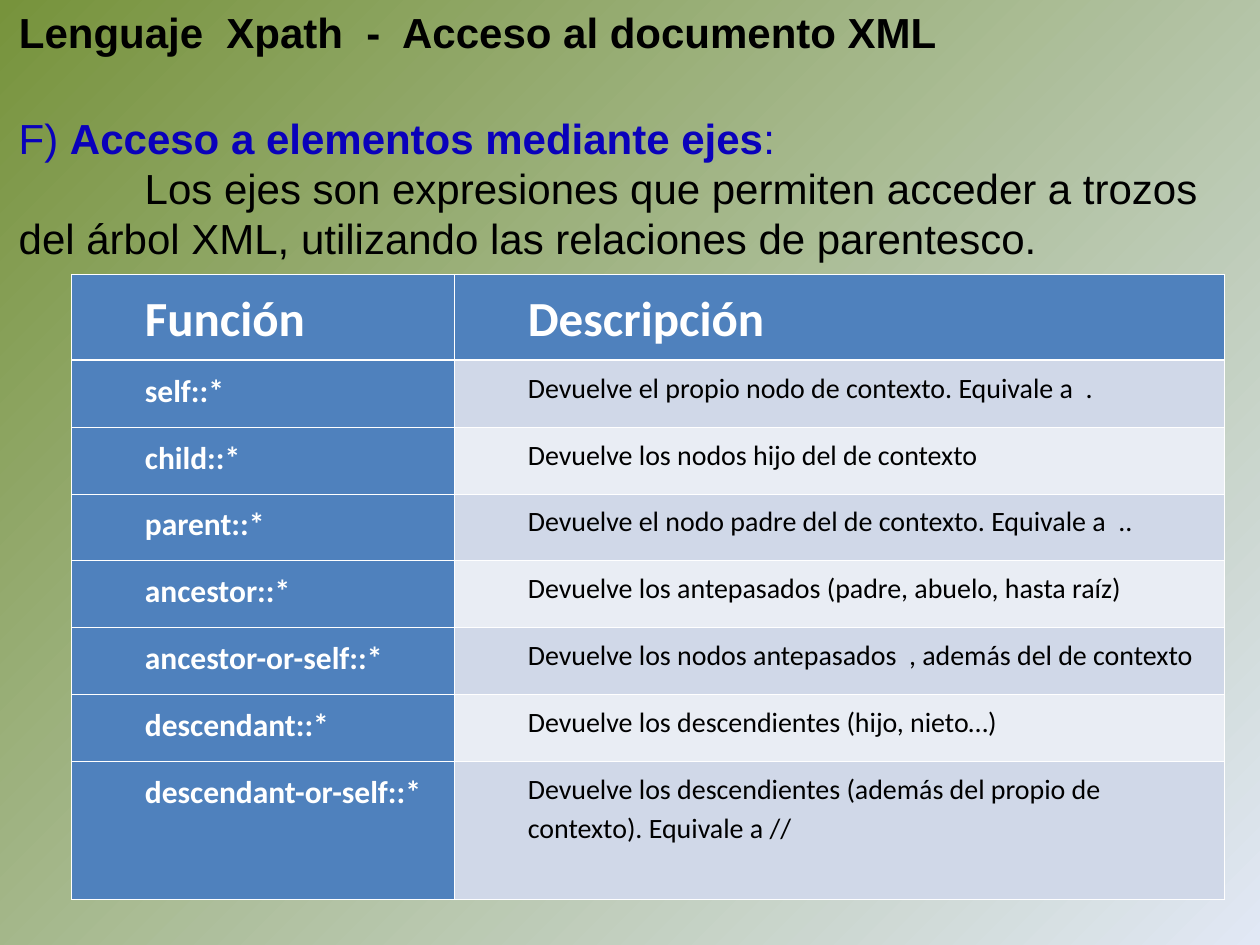
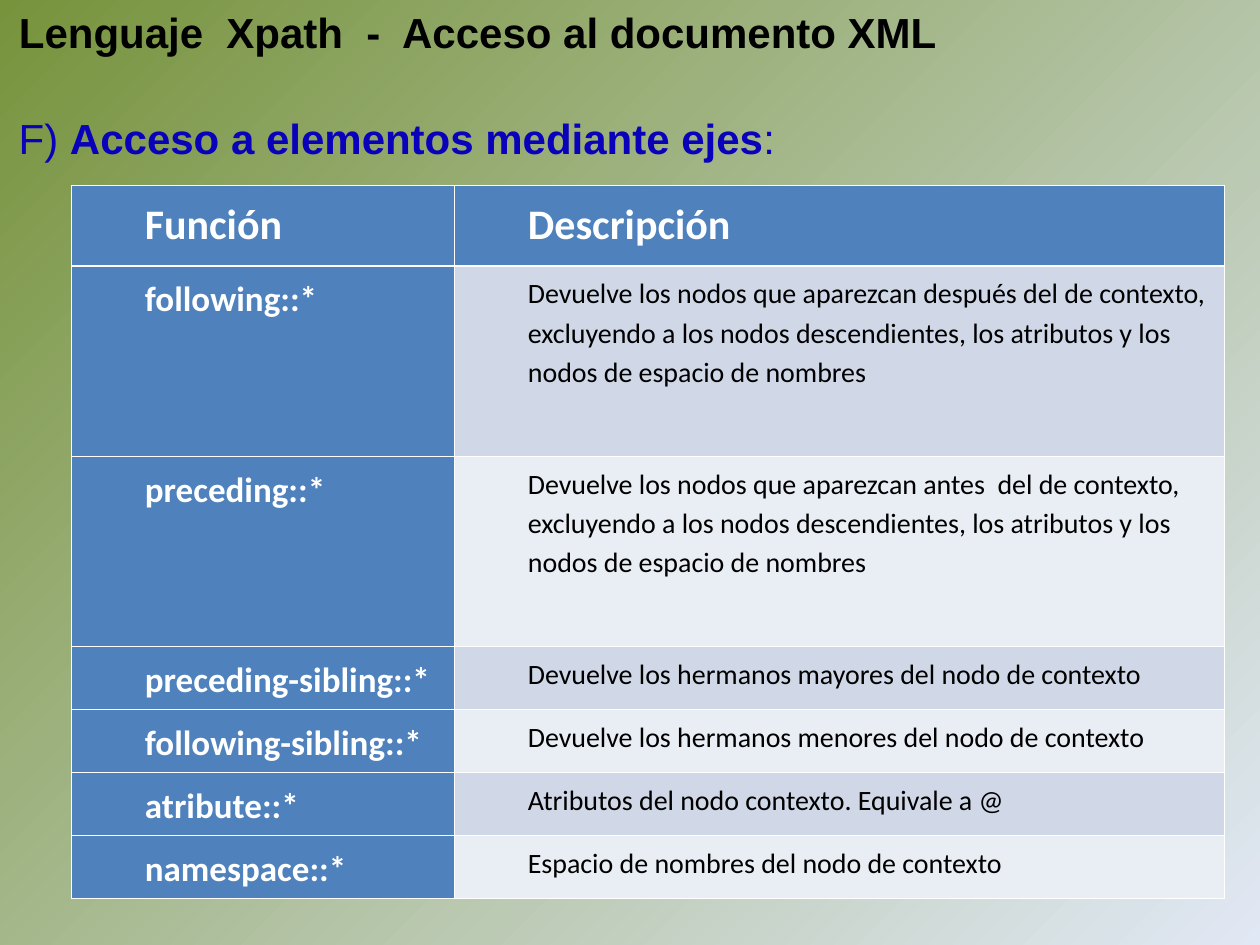
"""Builds two slides about the XPath axes."""
from lxml import etree
from pptx import Presentation
from pptx.dml.color import RGBColor
from pptx.enum.text import MSO_ANCHOR, MSO_AUTO_SIZE, PP_ALIGN
from pptx.oxml.ns import qn
from pptx.util import Inches, Pt

TOP = MSO_ANCHOR.TOP
GROW = MSO_AUTO_SIZE.SHAPE_TO_FIT_TEXT
LEFT = PP_ALIGN.LEFT

BLACK = RGBColor(0x00, 0x00, 0x00)
WHITE = RGBColor(0xFF, 0xFF, 0xFF)
NAVY = RGBColor(0x0A, 0x01, 0xBB)
BLUE = RGBColor(0x4F, 0x81, 0xBD)
BANDS = (RGBColor(0xD0, 0xD8, 0xE8), RGBColor(0xE9, 0xED, 0xF4))
BACKGROUND = (RGBColor(0x77, 0x93, 0x3C), RGBColor(0xE1, 0xE8, 0xF5))

THIN, THICK = Pt(0.45), Pt(1.47)
TITLE = "Lenguaje  Xpath  -  Acceso al documento XML"
HEADER = ("Función", "Descripción")
INTRO = ("Los ejes son expresiones que permiten acceder a trozos del árbol XML, "
         "utilizando las relaciones de parentesco.")
EXCLUDED = ("excluyendo a los nodos descendientes, los atributos y los nodos "
            "de espacio de nombres")
FAMILY_AXES = [
    ("self::*", "Devuelve el propio nodo de contexto. Equivale a  ."),
    ("child::*", "Devuelve los nodos hijo del de contexto"),
    ("parent::*", "Devuelve el nodo padre del de contexto. Equivale a  .."),
    ("ancestor::*", "Devuelve los antepasados (padre, abuelo, hasta raíz)"),
    ("ancestor-or-self::*", "Devuelve los nodos antepasados  , además del de contexto"),
    ("descendant::*", "Devuelve los descendientes (hijo, nieto…)"),
    ("descendant-or-self::*",
     "Devuelve los descendientes (además del propio de contexto). Equivale a //"),
]
OTHER_AXES = [
    ("following::*",
     f"Devuelve los nodos que aparezcan después del de contexto, {EXCLUDED}"),
    ("preceding::*",
     f"Devuelve los nodos que aparezcan antes  del de contexto, {EXCLUDED}"),
    ("preceding-sibling::*", "Devuelve los hermanos mayores del nodo de contexto"),
    ("following-sibling::*", "Devuelve los hermanos menores del nodo de contexto"),
    ("atribute::*", "Atributos del nodo contexto. Equivale a @"),
    ("namespace::*", "Espacio de nombres del nodo de contexto"),
]


class Deck:
    """Holds the shared style and the current slide."""

    def __init__(self):
        self.prs = Presentation()
        self.prs.slide_width, self.prs.slide_height = Inches(10), Inches(7.5)
        fill = self.prs.slide_master.background.fill
        fill.gradient()
        fill.gradient_angle = 315
        for stop, color in zip(fill.gradient_stops, BACKGROUND):
            stop.color.rgb = color

    def font(self, p, size, color, bold=None, name="Arial"):
        """Formats a whole paragraph."""
        p.font.name, p.font.size, p.font.bold = name, Pt(size), bold
        p.font.color.rgb = color

    def indent(self, p, left, first):
        """Sets the left margin and the first-line indent."""
        pPr = p._p.get_or_add_pPr()
        pPr.set("marL", str(Inches(left)))
        pPr.set("indent", str(Inches(first)))

    def slide(self):
        """Starts a slide with the shared title."""
        self.s = self.prs.slides.add_slide(self.prs.slide_layouts[5])
        sp = self.s.shapes.title
        sp.left, sp.top = Inches(0.05), Inches(0)
        sp.width, sp.height = Inches(7.49), Inches(0.5)
        tf = sp.text_frame
        tf.text = TITLE
        tf.word_wrap, tf.auto_size, tf.vertical_anchor = False, GROW, TOP
        p = tf.paragraphs[0]
        p.alignment = LEFT
        self.font(p, 24, BLACK, True)

    def section(self, height, intro=None):
        """Adds the section heading and, if given, its introduction."""
        sp = self.s.shapes.add_textbox(Inches(0.05), Inches(0.84), Inches(9.98), Inches(height))
        tf = sp.text_frame
        tf.word_wrap, tf.auto_size = True, GROW
        p = tf.paragraphs[0]
        self.font(p, 24, NAVY)
        for text, bold in (("F) ", False), ("Acceso a elementos mediante ejes", True),
                           (":", False)):
            r = p.add_run()
            r.text, r.font.bold = text, bold
        if intro:
            p = tf.add_paragraph()
            p.text = intro
            self.indent(p, 0, 1)
            self.font(p, 24, BLACK)

    def borders(self, cell, row):
        """Draws white cell borders, thicker below the header."""
        tcPr = cell._tc.get_or_add_tcPr()
        widths = {"L": THIN, "R": THIN, "T": THICK if row == 1 else THIN,
                  "B": THICK if row == 0 else THIN}
        for side, width in widths.items():
            ln = etree.SubElement(tcPr, qn(f"a:ln{side}"), w=str(width))
            fill = etree.SubElement(ln, qn("a:solidFill"))
            etree.SubElement(fill, qn("a:srgbClr"), val=str(WHITE))

    def cell(self, cell, text, row, size, color, bold, fill):
        """Fills and formats one table cell."""
        self.borders(cell, row)
        cell.fill.solid()
        cell.fill.fore_color.rgb = fill
        cell.margin_left = cell.margin_right = Inches(0.08)
        cell.text = text
        p = cell.text_frame.paragraphs[0]
        self.indent(p, 0.5, 0)
        p.line_spacing = 1.15
        self.font(p, size, color, bold, "Calibri")

    def table(self, top, heights, axes, header_size, axis_size):
        """Adds the table of axes and their descriptions."""
        rows = [HEADER, *axes]
        tbl = self.s.shapes.add_table(len(rows), 2, Inches(0.57), Inches(top),
                                      Inches(9.15), Inches(sum(heights))).table
        tbl.columns[0].width, tbl.columns[1].width = Inches(3.04), Inches(6.11)
        for i, (height, texts) in enumerate(zip(heights, rows)):
            tbl.rows[i].height = Inches(height)
            for j, text in enumerate(texts):
                if i and j:
                    style = (16, BLACK, False, BANDS[(i - 1) % 2])
                else:
                    style = (axis_size if i else header_size, WHITE, True, BLUE)
                self.cell(tbl.cell(i, j), text, i, *style)


def main():
    deck = Deck()
    deck.slide()
    deck.section(1.7, INTRO)
    deck.table(2.18, [0.68] + [0.53] * 6 + [1.1], FAMILY_AXES, 28, 18)
    deck.slide()
    deck.section(0.5)
    deck.table(1.47, [0.64] + [1.51] * 2 + [0.5] * 4, OTHER_AXES, 24, 20)
    deck.prs.save("out.pptx")


if __name__ == "__main__":
    main()
